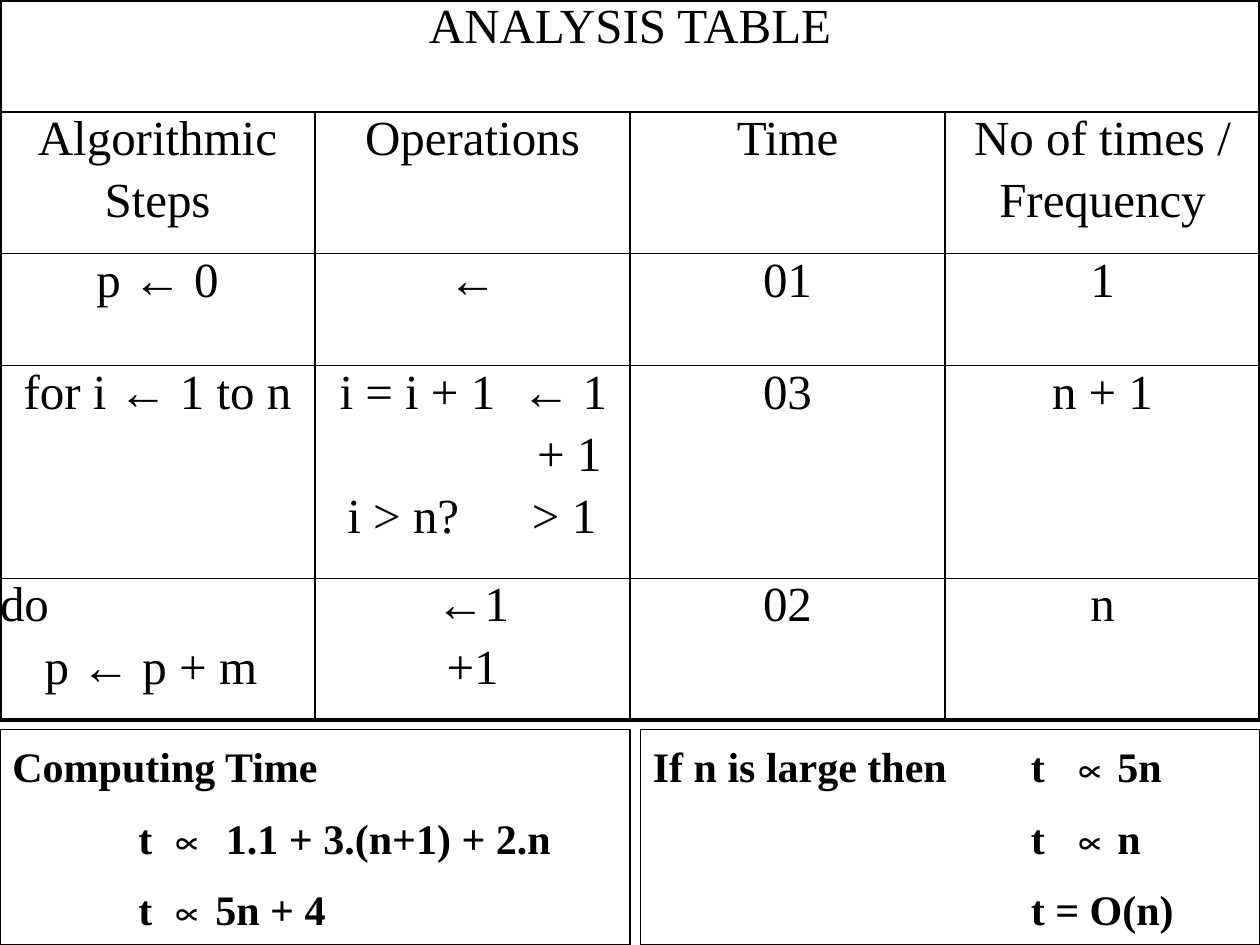
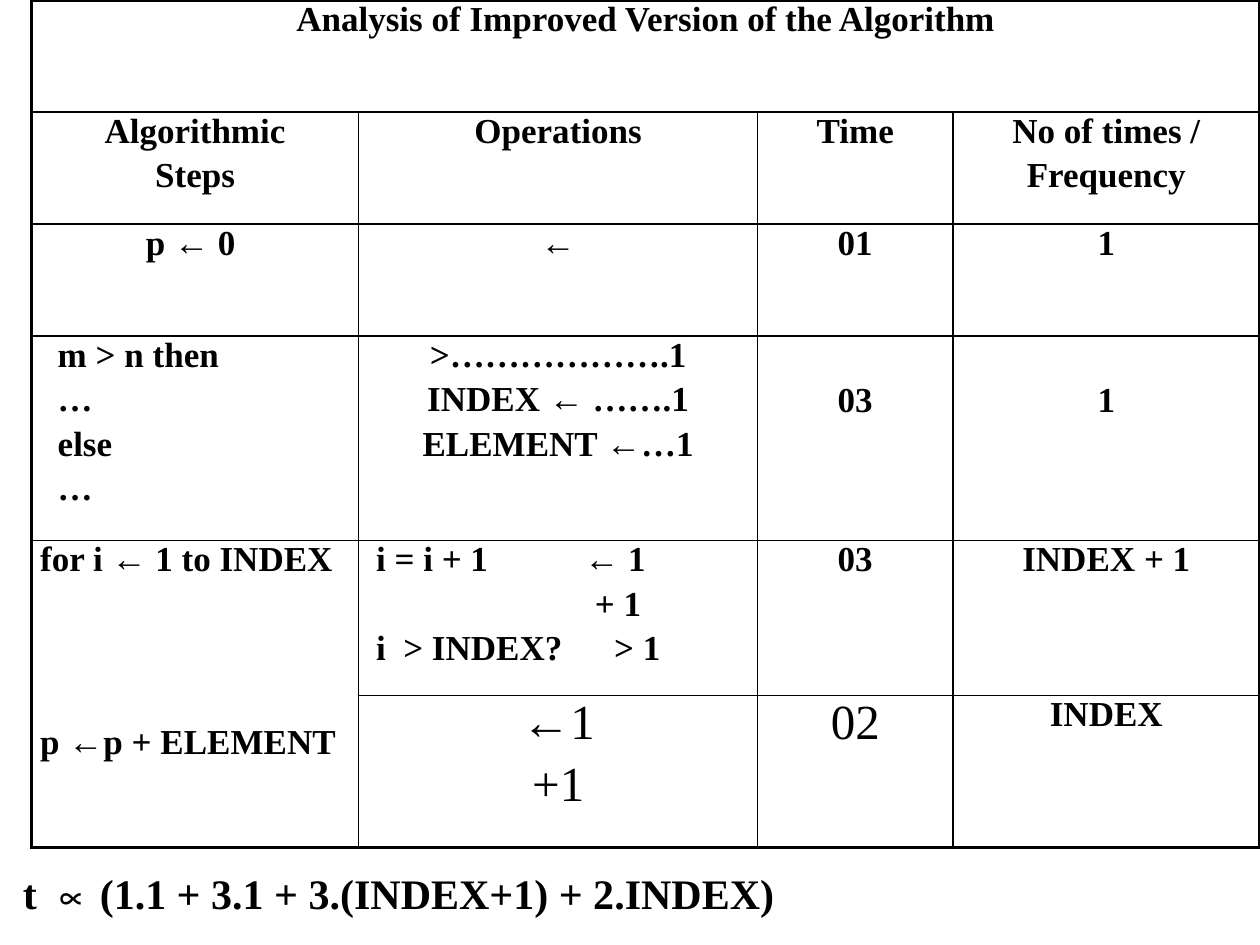
from lxml import etree
from pptx import Presentation
from pptx.dml.color import RGBColor
from pptx.enum.shapes import MSO_SHAPE
from pptx.enum.text import MSO_ANCHOR, PP_ALIGN
from pptx.oxml.ns import qn
from pptx.util import Pt

RECT = MSO_SHAPE.RECTANGLE
MIDDLE = MSO_ANCHOR.MIDDLE
LEFT = PP_ALIGN.LEFT
CENTER = PP_ALIGN.CENTER
INK = "000000"
FACE = "Times New Roman"
WIDE, HIGH = 720, 540
THIN, THICK = 1, 2.25


def color(code):
    return RGBColor.from_string(code)


class Deck:
    def __init__(self):
        self.show = Presentation()
        self.show.slide_width = Pt(WIDE)
        self.show.slide_height = Pt(HIGH)
        self.slide = None

    def page(self):
        self.slide = self.show.slides.add_slide(self.show.slide_layouts[6])

    def text(self, frame, words, size, bold=True, align=LEFT, gap=None, tabs=()):
        gap = size * 0.16 if gap is None else gap
        for i, line in enumerate(words.split("\n")):
            para = frame.add_paragraph() if i else frame.paragraphs[0]
            para.text = line
            para.alignment = align
            if i:
                para.space_before = Pt(gap)
            if tabs:
                stops = etree.SubElement(para._p.get_or_add_pPr(), qn("a:tabLst"))
                for pos in tabs[i]:
                    etree.SubElement(stops, qn("a:tab"), pos=str(Pt(pos)), algn="l")
            font = para.font
            font.name, font.size, font.bold = FACE, Pt(size), bold
            font.color.rgb = color(INK)

    def edge(self, cell, side, width):
        line = etree.SubElement(cell._tc.get_or_add_tcPr(), qn("a:ln" + side), w=str(Pt(width)))
        fill = etree.SubElement(line, qn("a:solidFill"))
        etree.SubElement(fill, qn("a:srgbClr"), val=INK)

    def table(self, left, cols, rows, cells, spans, size, bold, special):
        grid = self.slide.shapes.add_table(
            len(rows), len(cols), Pt(left), Pt(0), Pt(sum(cols)), Pt(sum(rows))).table
        grid.first_row = grid.horz_banding = False
        for col, width in zip(grid.columns, cols):
            col.width = Pt(width)
        for row, height in zip(grid.rows, rows):
            row.height = Pt(height)
        for start, end in spans:
            grid.cell(*start).merge(grid.cell(*end))
        for r, line in enumerate(cells):
            for c, words in enumerate(line):
                cell = grid.cell(r, c)
                if cell.is_spanned:
                    continue
                look = {"size": size, "bold": bold, "align": CENTER, "left": 0, "top": 0}
                look.update(special.get((r, c), {}))
                cell.margin_left, cell.margin_top = Pt(look.pop("left")), Pt(look.pop("top"))
                cell.margin_right = cell.margin_bottom = 0
                down = cell.span_height if cell.is_merge_origin else 1
                over = cell.span_width if cell.is_merge_origin else 1
                outer = {"L": c == 0, "R": c + over == len(cols),
                         "T": r == 0, "B": r + down == len(rows)}
                for side, rim in outer.items():
                    self.edge(cell, side, THICK if rim else THIN)
                cell.fill.background()
                self.text(cell.text_frame, words, **look)

    def box(self, left, top, width, height, words, tabs):
        shape = self.slide.shapes.add_shape(RECT, Pt(left), Pt(top), Pt(width), Pt(height))
        shape.shadow.inherit = False
        shape.fill.background()
        shape.line.color.rgb = color(INK)
        shape.line.width = Pt(0.75)
        shape.text_frame.word_wrap = True
        shape.text_frame.vertical_anchor = MIDDLE
        self.text(shape.text_frame, words, 24, gap=12, tabs=tabs)

    def label(self, left, top, width, height, words, tabs):
        frame = self.slide.shapes.add_textbox(
            Pt(left), Pt(top), Pt(width), Pt(height)).text_frame
        frame.word_wrap = True
        self.text(frame, words, 24, tabs=tabs)


HEADS = ["Algorithmic\nSteps", "Operations", "Time", "No of times /\nFrequency"]
TITLE = ((0, 0), (0, 3))


def first(deck):
    deck.page()
    deck.table(
        0, [WIDE / 4] * 4, [64, 81, 64, 121.5, 81],
        [["ANALYSIS TABLE", "", "", ""],
         HEADS,
         ["p ← 0", "←", "01", "1"],
         ["for i ← 1 to n", "\ti = i + 1\t← 1\n\t+ 1\n\ti > n?\t> 1", "03", "n + 1"],
         ["do\n\tp ← p + m", "←1\n+1", "02", "n"]],
        [TITLE], 28, False,
        {(3, 1): {"align": LEFT, "tabs": [(14, 118), (127,), (18.5, 124)]},
         (4, 0): {"align": LEFT, "tabs": [(), (25.5,)]}})
    top, high = 417, 123
    deck.box(0, top, 360, high,
             "Computing Time\n\tt\t∝\t1.1 + 3.(n+1) + 2.n\n\tt\t∝\t5n + 4",
             [(), (72, 89, 122), (72, 89, 116)])
    deck.box(366, top, 354, high,
             "If n is large then\tt\t∝\t5n\n\tt\t∝\tn\n\tt = O(n)",
             [(216, 239, 265.5)] * 3)


def second(deck):
    deck.page()
    large = {"size": 28, "bold": False}
    lower = {"top": 26}
    deck.table(
        18, [187, 228, 111.5, 175.5], [64, 64, 64, 117, 88.5, 87],
        [["Analysis of Improved Version of the Algorithm", "", "", ""],
         HEADS,
         ["p ← 0 ", "←", "01", "1"],
         ["m > n then\n…\nelse\n…",
          ">……………….1\nINDEX ← …….1\nELEMENT ←…1", "03", "1"],
         ["for i ← 1 to INDEX\np ←p + ELEMENT",
          "i = i + 1\t← 1\n\t+ 1\ni\t> INDEX?\t> 1", "03", "INDEX + 1"],
         ["", "←1\n+1", "02", "INDEX"]],
        [TITLE, ((4, 0), (5, 0))], 20, True,
        {(3, 0): {"align": LEFT, "left": 15},
         (3, 2): lower, (3, 3): lower,
         (4, 0): {"align": LEFT, "left": 5, "gap": 82},
         (4, 1): {"align": LEFT, "left": 10, "tabs": [(119,), (125,), (15.5, 136)]},
         (5, 1): large, (5, 2): large})
    deck.label(0, 492, WIDE, 36, "\tt\t∝\t(1.1 + 3.1 + 3.(INDEX+1) + 2.INDEX)",
               [(6, 23, 50)])


def main():
    deck = Deck()
    first(deck)
    second(deck)
    deck.show.save("out.pptx")


if __name__ == "__main__":
    main()
